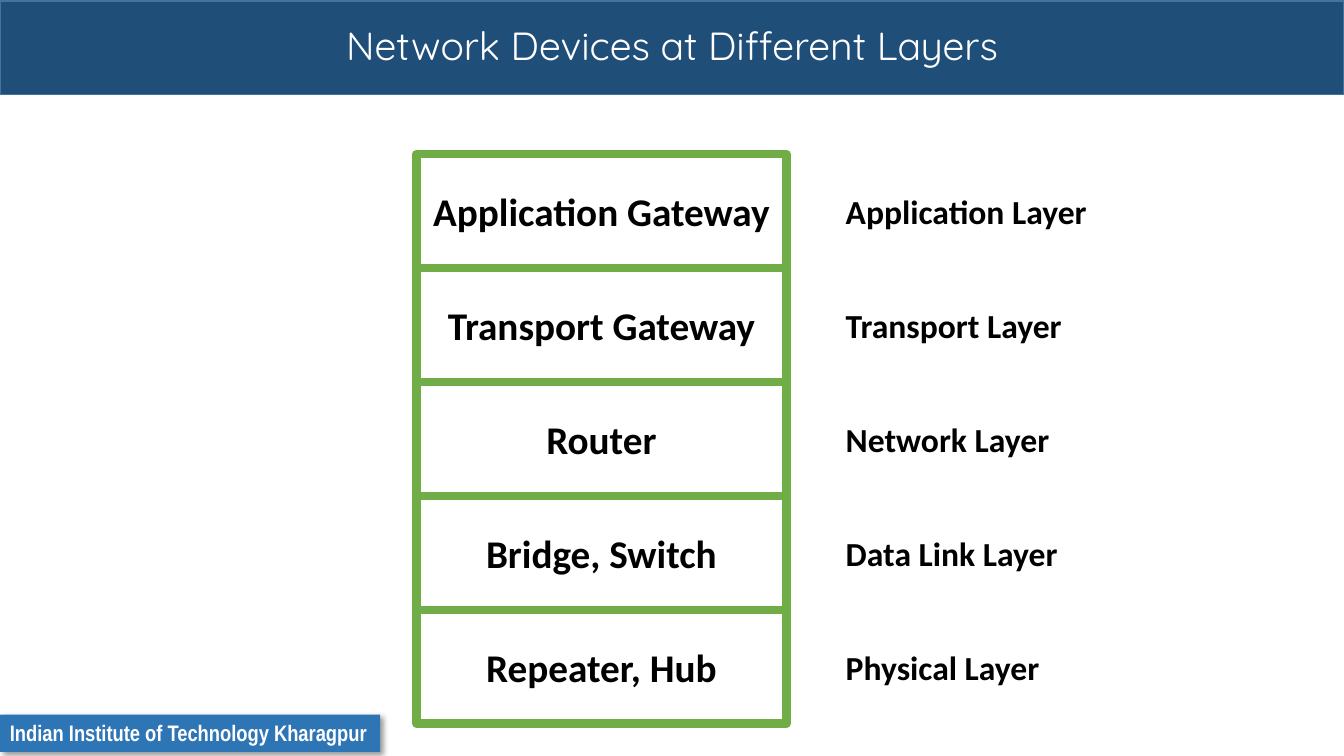
from lxml import etree
from pptx import Presentation
from pptx.dml.color import RGBColor
from pptx.enum.shapes import MSO_SHAPE as Shape
from pptx.enum.text import MSO_ANCHOR as Anchor, MSO_AUTO_SIZE as Fit, PP_ALIGN as Align
from pptx.oxml.ns import nsdecls
from pptx.util import Inches, Pt

# Content, from the top layer down
TITLE = "Network Devices at Different Layers"
FOOTER = "Indian Institute of Technology Kharagpur"
LAYERS = [
    ("Application Gateway", "Application Layer"),
    ("Transport Gateway", "Transport Layer"),
    ("Router", "Network Layer"),
    ("Bridge, Switch", "Data Link Layer"),
    ("Repeater, Hub", "Physical Layer"),
]

# Formats
HEAD = dict(name="Quicksand", size=Pt(28))
FOOT = dict(name="Arial Narrow", size=Pt(16), bold=True)
DEVICE = dict(name="Calibri", size=Pt(28), bold=True)
LABEL = dict(name="Calibri", size=Pt(24), bold=True)

# Layout in inches
BAR = (0, 0.01, 13.33, 0.93)
TAG = (0, 7.09, 3.77, 0.37)
TOP, STEP = 1.53, 1.13
BOX_X, BOX_W = 4.13, 3.67
LABEL_X, LABEL_W, LABEL_H = 8.29, 3.27, 0.5

SHADOW = f"""<a:effectLst {nsdecls('a')}>
  <a:outerShdw blurRad="{Pt(4)}" dist="{Pt(3)}" dir="2700000" algn="tl" rotWithShape="0">
    <a:srgbClr val="000000"><a:alpha val="40000"/></a:srgbClr>
  </a:outerShdw>
</a:effectLst>"""


def color(code):
    return RGBColor.from_string(code)


def add_rect(at, fill, line=None, width=1):
    rect = slide.shapes.add_shape(Shape.RECTANGLE, *map(Inches, at))
    rect.shadow.inherit = False
    rect.fill.solid()
    rect.fill.fore_color.rgb = color(fill)
    if line:
        rect.line.color.rgb = color(line)
        rect.line.width = Pt(width)
    else:
        rect.line.fill.background()
    return rect


def add_box(at):
    return slide.shapes.add_textbox(*map(Inches, at))


def write(shape, text, style, ink, align=Align.LEFT, anchor=Anchor.MIDDLE, wrap=True):
    frame = shape.text_frame
    frame.word_wrap = wrap
    frame.vertical_anchor = anchor
    para = frame.paragraphs[0]
    para.alignment = align
    run = para.add_run()
    run.text = text
    for key, value in style.items():
        setattr(run.font, key, value)
    run.font.color.rgb = color(ink)
    return para


prs = Presentation()
prs.slide_width, prs.slide_height = Inches(13.33), Inches(7.5)
slide = prs.slides.add_slide(prs.slide_layouts[6])

# Title bar
add_rect(BAR, "1F4E79", "43739E")
para = write(add_box(BAR), TITLE, HEAD, "FFFFFF", Align.CENTER)
para.line_spacing = 0.9

# Footer tag with shadow
tag = add_rect(TAG, "2E75B6")
props = tag._element.spPr
props.replace(props.find("{*}effectLst"), etree.fromstring(SHADOW))
write(tag, FOOTER, FOOT, "FFFFFF", anchor=Anchor.TOP, wrap=False)
tag.text_frame.auto_size = Fit.SHAPE_TO_FIT_TEXT

# Device stack, built upward from the bottom, with layer names
for row, (device, layer) in reversed(list(enumerate(LAYERS))):
    top = TOP + row * STEP
    box = add_rect((BOX_X, top, BOX_W, STEP), "FFFFFF", "70AD47", 6)
    write(box, device, DEVICE, "000000", Align.CENTER)
    label = add_box((LABEL_X, top + (STEP - LABEL_H) / 2, LABEL_W, LABEL_H))
    write(label, layer, LABEL, "000000")
    label.text_frame.auto_size = Fit.SHAPE_TO_FIT_TEXT

prs.save("out.pptx")
